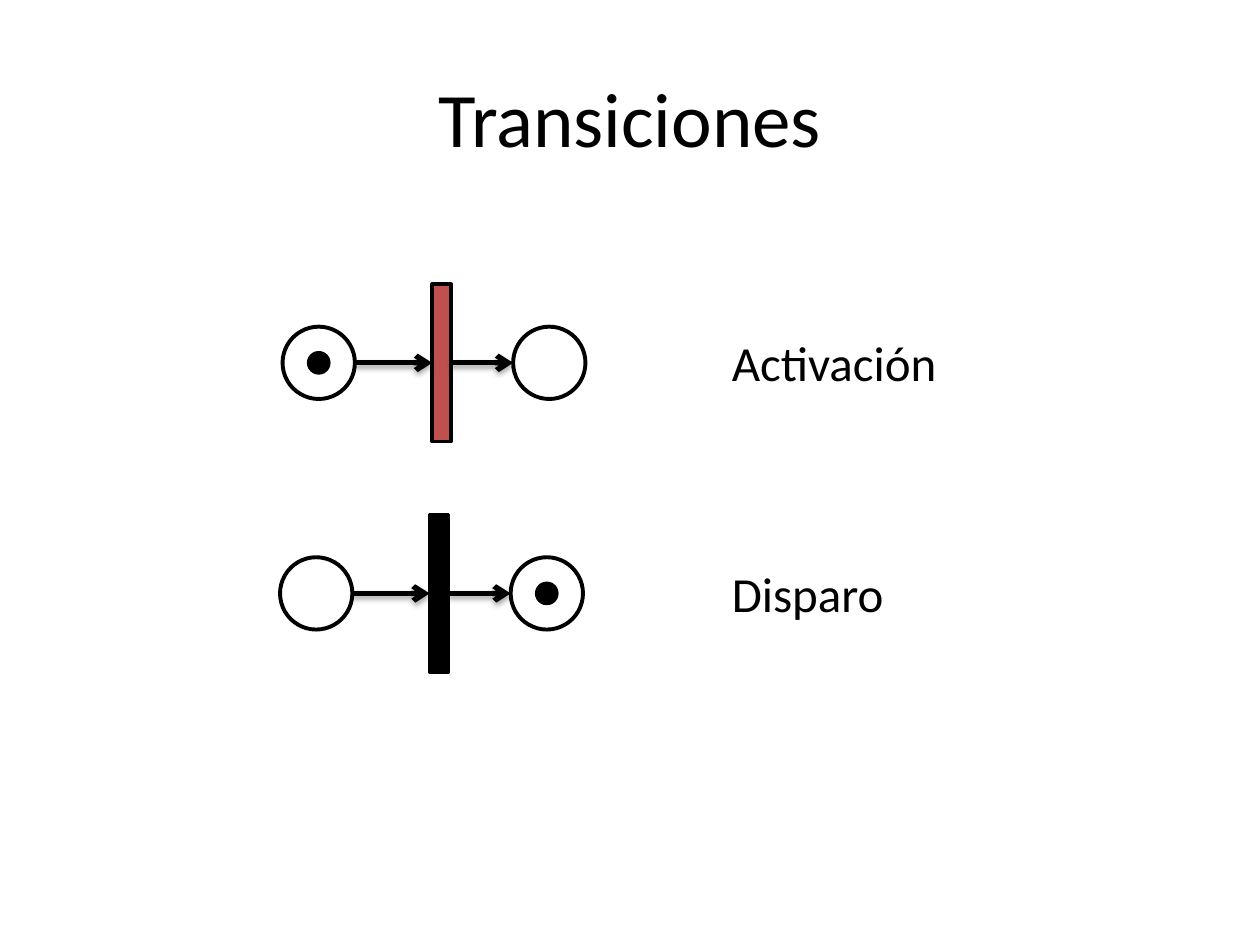
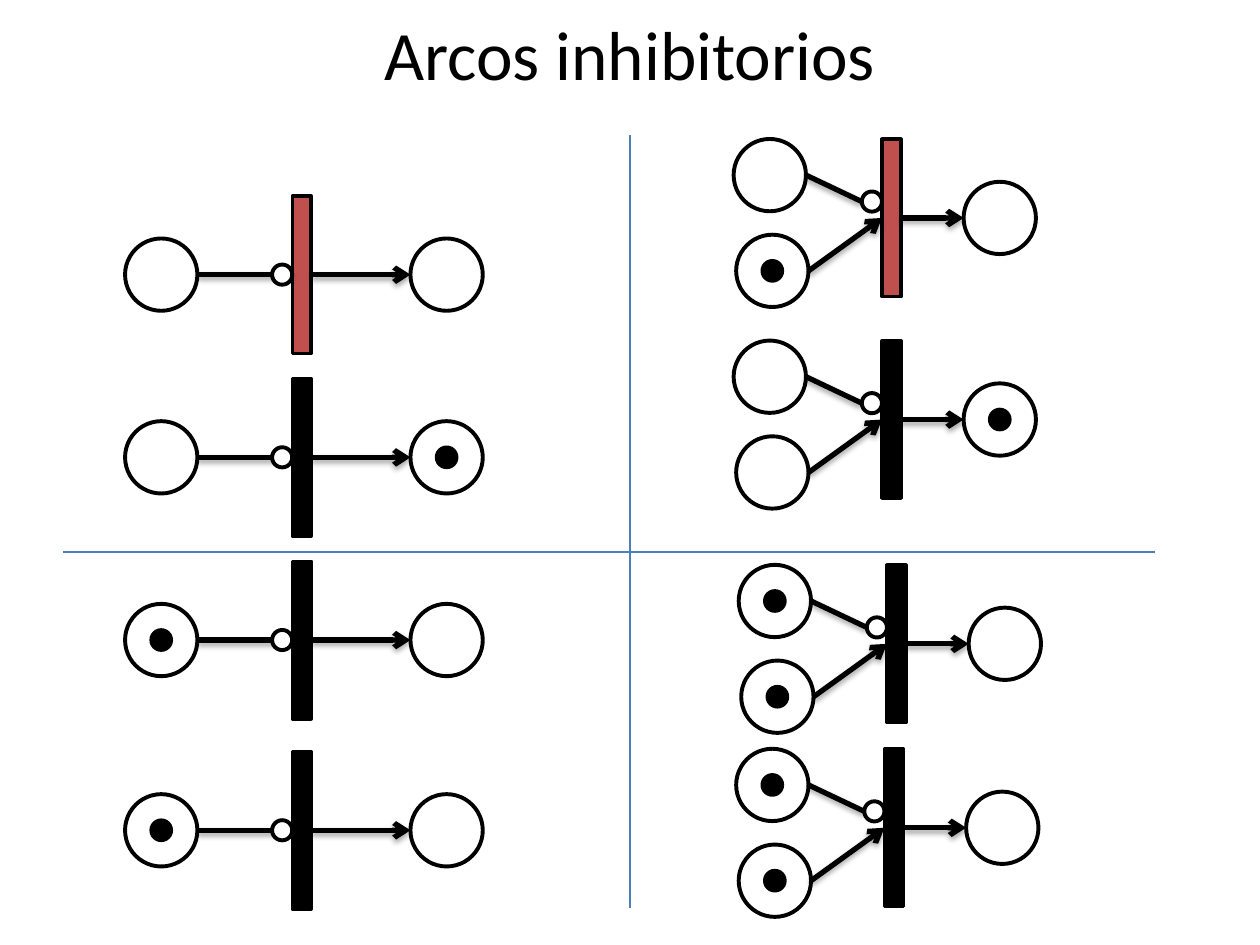
"""Builds two slides on Petri net transitions and inhibitor arcs."""
from lxml import etree
from pptx import Presentation
from pptx import util as u
from pptx.dml import color
from pptx.enum import shapes, text
from pptx.oxml import ns

COLORS = {"ink": "000000", "paper": "FFFFFF", "enabled": "C0504D", "divider": "4B7EBC"}
FONT = "Calibri"
PLACE, TOKEN, RING = 5.74, 1.6, 1.6
BAR_WIDTH, BAR_HEIGHT = 1.5, 12.5

deck = Presentation()
deck.slide_width, deck.slide_height = u.Inches(10), u.Inches(7.5)
COL, ROW = deck.slide_width / 100, deck.slide_height / 75


def draw_node(slide, geometry, center, size, fill, weight):
    (x, y), (width, height) = center, size
    node = slide.shapes.add_shape(
        geometry, round((x - width / 2) * COL), round((y - height / 2) * ROW),
        round(width * COL), round(height * ROW))
    node.shadow.inherit = False
    node.fill.solid()
    node.fill.fore_color.rgb = color.RGBColor.from_string(COLORS[fill])
    node.line.color.rgb = color.RGBColor.from_string(COLORS["ink"])
    node.line.width = u.Pt(weight)
    return node


def draw_line(slide, start, end, ink, weight, arrow=False, shadow=False):
    line = slide.shapes.add_connector(
        shapes.MSO_CONNECTOR.STRAIGHT, round(start[0] * COL), round(start[1] * ROW),
        round(end[0] * COL), round(end[1] * ROW))
    line.line.color.rgb = color.RGBColor.from_string(COLORS[ink])
    line.line.width = u.Pt(weight)
    properties = line.element.spPr
    if arrow:
        etree.SubElement(properties.find(ns.qn("a:ln")), ns.qn("a:tailEnd"), type="arrow")
    effects = etree.SubElement(properties, ns.qn("a:effectLst"))
    if shadow:
        cast = etree.SubElement(effects, ns.qn("a:outerShdw"), blurRad="40000",
                                dist="23000", dir="5400000", rotWithShape="0")
        tint = etree.SubElement(cast, ns.qn("a:srgbClr"), val=COLORS["ink"])
        etree.SubElement(tint, ns.qn("a:alpha"), val="35000")
    return line


transitions, inhibitors = [deck.slides.add_slide(deck.slide_layouts[6]) for _ in range(2)]

captions = [
    (transitions, "Transiciones", 44, (5, 3, 90, 12.5), True),
    (inhibitors, "Arcos inhibitorios", 39.6, (5, 0.8, 90, 6.8), True),
    (transitions, "Activación", 28, (57.1, 25.9, 18.5, 5.7), False),
    (transitions, "Disparo", 28, (57.1, 44.2, 14.2, 5.7), False),
]
for slide, words, size, (left, top, width, height), is_title in captions:
    caption = slide.shapes.add_textbox(
        round(left * COL), round(top * ROW), round(width * COL), round(height * ROW))
    frame = caption.text_frame
    frame.word_wrap = is_title
    frame.vertical_anchor = text.MSO_ANCHOR.MIDDLE if is_title else text.MSO_ANCHOR.TOP
    paragraph = frame.paragraphs[0]
    paragraph.alignment = text.PP_ALIGN.CENTER if is_title else text.PP_ALIGN.LEFT
    run = paragraph.add_run()
    run.text = words
    run.font.name, run.font.size = FONT, u.Pt(size)
    run.font.color.rgb = color.RGBColor.from_string(COLORS["ink"])

for start, end in [((50, 10.7), (50, 72.1)), ((5, 43.8), (91.7, 43.8))]:
    draw_line(inhibitors, start, end, "divider", 0.75)

# Each input: offset from the bar's left side and axis, then the height of its ring or None.
forms = {
    "direct": ([(-9, 0, None)], 9.3),
    "inhibited": ([(-10.4, 0, 0)], 12.25),
    "mixed": ([(-8.9, -3.4, -1.3), (-8.7, 4.2, None)], 9.35),
}
nets = [
    (transitions, "direct", 34.3, 28.8, "enabled", (True, False)),
    (transitions, "direct", 34.1, 47.1, "ink", (False, True)),
    (inhibitors, "inhibited", 23.2, 21.8, "enabled", (False, False)),
    (inhibitors, "inhibited", 23.2, 36.3, "ink", (False, True)),
    (inhibitors, "inhibited", 23.2, 50.8, "ink", (True, False)),
    (inhibitors, "inhibited", 23.2, 65.9, "ink", (True, False)),
    (inhibitors, "mixed", 70, 17.3, "enabled", (False, True, False)),
    (inhibitors, "mixed", 70, 33.3, "ink", (False, False, True)),
    (inhibitors, "mixed", 70.4, 51.1, "ink", (True, True, False)),
    (inhibitors, "mixed", 70.2, 65.7, "ink", (True, True, False)),
]
oval, rectangle = shapes.MSO_SHAPE.OVAL, shapes.MSO_SHAPE.RECTANGLE
for slide, form, bar_left, axis, bar_fill, marking in nets:
    inputs, output_offset = forms[form]
    bar = draw_node(slide, rectangle, (bar_left + BAR_WIDTH / 2, axis),
                    (BAR_WIDTH, BAR_HEIGHT), bar_fill, 2)
    output = (bar_left + output_offset, axis)
    places = [(bar_left + dx, axis + dy) for dx, dy, _ in inputs] + [output]

    for center, marked in zip(places, marking):
        draw_node(slide, oval, center, (PLACE, PLACE), "paper", 2.25)
        if marked:
            draw_node(slide, oval, center, (TOKEN, TOKEN), "ink", 2)

    for (x, y), (_, _, ring_height) in zip(places, inputs):
        plain = ring_height is None
        end = (bar_left, axis) if not ring_height else (bar_left - RING, axis + ring_height)
        arc = draw_line(slide, (x + PLACE / 2, y), end, "ink", 3, arrow=plain, shadow=True)
        if not ring_height:
            arc.end_connect(bar, 1)
        if not plain:
            draw_node(slide, oval, (bar_left - RING / 2, axis + ring_height),
                      (RING, RING), "paper", 2.25)

    arc = draw_line(slide, (bar_left + BAR_WIDTH, axis), (output[0] - PLACE / 2, axis),
                    "ink", 3, arrow=True, shadow=True)
    arc.begin_connect(bar, 3)

deck.save("out.pptx")
